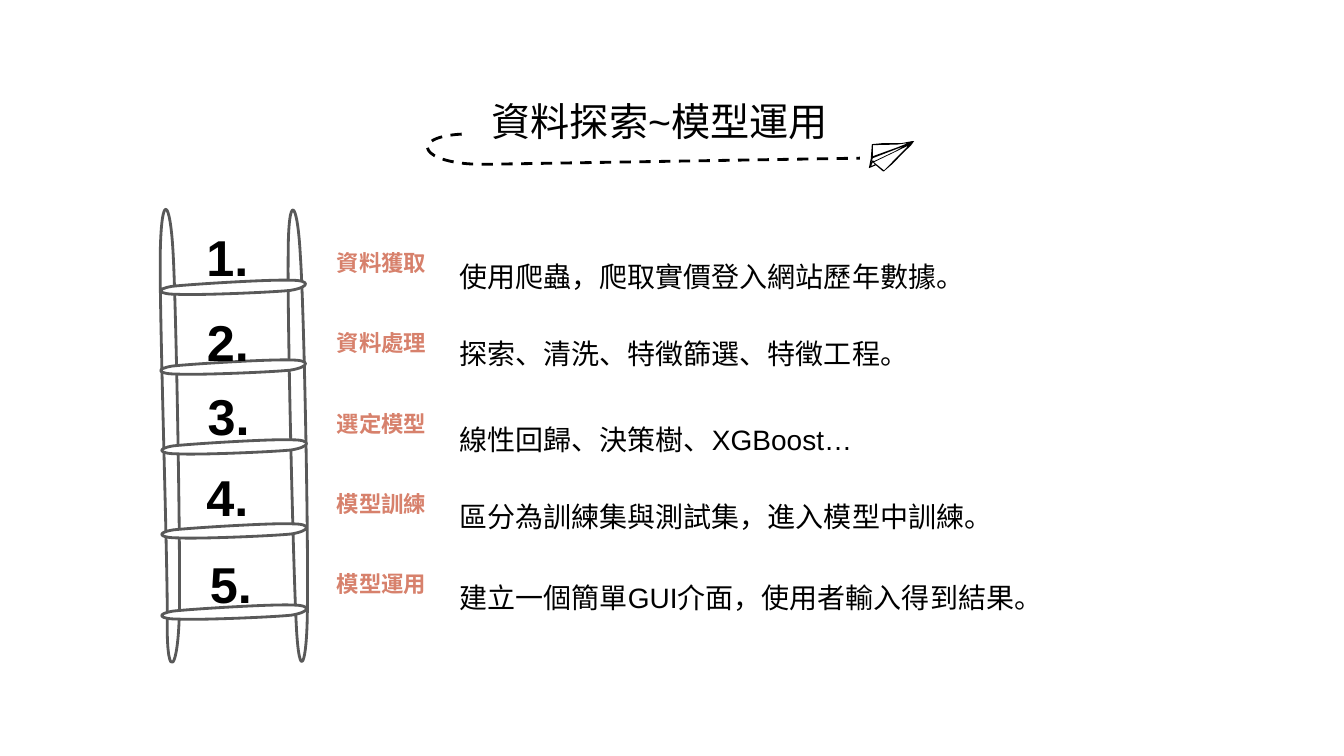
import pptx
import pptx.util
import pptx.dml.color
import pptx.enum.dml
import pptx.enum.text
import pptx.oxml.ns
import lxml.etree

Pt = pptx.util.Pt
qn = pptx.oxml.ns.qn
ALIGN = pptx.enum.text.PP_ALIGN

RAILS = [
    [(114.5, 181.4), (113.8, 225.4), (120.2, 410.4), (119.5, 448.6),
     (119.5, 486), (127.4, 480.2), (128.2, 435.6),
     (128.9, 391.7), (126, 225.4), (123.8, 182.9),
     (121.7, 140.4), (115.2, 136.8), (114.5, 181.4)],
    [(205.9, 181.4), (205.2, 225.4), (209.5, 405.4), (211.7, 447.1),
     (213.8, 488.9), (219.6, 475.9), (219.6, 432),
     (220.3, 388.1), (217.4, 224.6), (214.6, 182.9),
     (212.4, 141.1), (205.9, 137.5), (205.9, 181.4)],
]
RUNG = [(208.1, 200.2), (194.4, 199.4), (136.8, 203), (123.1, 204.5),
        (110.2, 206.6), (113, 210.2), (126.7, 210.2),
        (141.1, 211), (194.4, 208.8), (207.4, 207.4),
        (221, 205.2), (222.5, 200.2), (208.1, 200.2)]
# One arc, then a straight end
TRAIL = [(329.8, 95.8), (290.9, 97.9), (300.2, 117.4), (344.9, 117.4),
         (614.2, 113)]
# Outline of the paper plane, then its four folds
PLANE = [
    [(653, 100.8), (650.9, 103.7), (645.8, 108.7), (637.2, 117.4),
     (631.4, 122.4), (630.7, 122.4), (625.7, 118.1), (620.6, 120.2),
     (622.1, 113), (622.1, 112.3), (622.8, 103), (631.4, 102.2),
     (644.4, 102.2), (651.6, 100.8)],
    [(623.5, 103.7), (623.5, 111.6), (641.5, 105.1), (648.7, 102.2),
     (640.8, 103.3)],
    [(624.2, 115.9), (631.4, 121.7), (648, 105.1), (648, 104.4)],
    [(623.5, 113), (622.1, 116.6), (623.5, 114.5), (624.2, 115.2),
     (639.4, 108), (645.8, 104.4)],
    [(622.1, 118.8), (625, 117.4), (623.5, 115.9)],
]
# Label, detail, detail top, number box (left, top, width), rung shift
STEPS = [
    ("資料獲取", "使用爬蟲，爬取實價登入網站歷年數據。", 182,
     (126.7, 157.7, 71.3), (0, 0)),
    ("資料處理", "探索、清洗、特徵篩選、特徵工程。", 236.9,
     (126.7, 218.9, 72), (0, 57)),
    ("選定模型", "線性回歸、決策樹、XGBoost…", 298.1,
     (127.4, 271.4, 72), (0.7, 114)),
    ("模型訓練", "區分為訓練集與測試集，進入模型中訓練。", 353.1,
     (140.4, 329.3, 47.5), (0.7, 174)),
    ("模型運用", "建立一個簡單GUI介面，使用者輸入得到結果。", 411.1,
     (142.9, 391.7, 47.5), (0.7, 232)),
]


def color(code):
    return pptx.dml.color.RGBColor.from_string(code)


def trace(points, count=12):
    """List points along the arcs, to find how far they reach."""
    line = [points[0]]
    for i in range(0, len(points) - 1, 3):
        arc = points[i:i + 4]
        if len(arc) < 4:
            line += arc[1:]
            continue
        for k in range(1, count + 1):
            t = k / count
            u = 1 - t
            parts = (u ** 3, 3 * u * u * t, 3 * u * t * t, t ** 3)
            line.append(tuple(sum(w * p[axis] for w, p in zip(parts, arc))
                              for axis in (0, 1)))
    return line


class Deck:
    font = "Arial"
    ink = "000000"
    accent = "D7816C"
    gray = "595959"
    paper = "FFFFFF"

    def __init__(self, slide):
        self.slide = slide

    def fill_text(self, shape, text, box, size, hue, bold, align):
        shape.left, shape.top, shape.width, shape.height = map(Pt, box)
        frame = shape.text_frame
        frame.text = text
        frame.word_wrap = True
        frame.auto_size = pptx.enum.text.MSO_AUTO_SIZE.SHAPE_TO_FIT_TEXT
        frame.vertical_anchor = pptx.enum.text.MSO_ANCHOR.TOP
        para = frame.paragraphs[0]
        para.alignment = align
        para.font.name = self.font
        para.font.size = Pt(size)
        para.font.bold = bold
        para.font.color.rgb = color(hue)

    def title(self, text, box, size):
        self.fill_text(self.slide.shapes.title, text, box, size,
                       self.ink, False, ALIGN.LEFT)

    def text(self, text, box, size, hue=ink, bold=False, align=ALIGN.LEFT):
        shape = self.slide.shapes.add_textbox(*map(Pt, box))
        self.fill_text(shape, text, box, size, hue, bold, align)

    def outline(self, loops, fill=None, line=None, close=True):
        """Draw one freeform from lists of points."""
        loops = [[(Pt(x), Pt(y)) for x, y in loop] for loop in loops]
        pen = self.slide.shapes.build_freeform(*loops[0][0])
        for i, loop in enumerate(loops):
            if i:
                pen.move_to(*loop[0])
            pen.add_line_segments(loop[1:], close=close)
        shape = pen.convert_to_shape()
        shape.shadow.inherit = False
        if fill:
            shape.fill.solid()
            shape.fill.fore_color.rgb = color(fill)
        else:
            shape.fill.background()
        if line:
            shape.line.color.rgb = color(line)
            shape.line.width = Pt(2)
        else:
            shape.line.fill.background()
        return shape

    def bend(self, points, fill=None, line=None):
        """Draw a chain of Bezier arcs; a single last point is a line."""
        shape = self.outline([trace(points)], fill, line, close=False)
        track = next(shape.element.iter(qn("a:path")))
        for node in list(track):
            track.remove(node)
        parts = [("a:moveTo", points[:1])]
        for i in range(1, len(points), 3):
            arc = points[i:i + 3]
            parts.append(("a:cubicBezTo" if len(arc) == 3 else "a:lnTo", arc))
        for tag, arc in parts:
            node = lxml.etree.SubElement(track, qn(tag))
            for x, y in arc:
                lxml.etree.SubElement(node, qn("a:pt"),
                                      x=str(Pt(x) - shape.left),
                                      y=str(Pt(y) - shape.top))
        return shape


def main():
    show = pptx.Presentation()
    show.slide_width, show.slide_height = Pt(960), Pt(540)
    deck = Deck(show.slides.add_slide(show.slide_layouts[5]))
    deck.title("資料探索~模型運用", (344, 66.2, 284.4, 41), 28)

    for rail in RAILS:
        deck.bend(rail, deck.paper, deck.gray)
    for i, (label, detail, top, spot, (dx, dy)) in enumerate(STEPS):
        deck.bend([(x + dx, y + dy) for x, y in RUNG], deck.paper, deck.gray)
        align = ALIGN.CENTER if i < 3 else ALIGN.LEFT
        deck.text(f"{i + 1}.", (*spot, 51), 36, bold=True, align=align)
        deck.text(label, (232.2, 174.4 + 57.4 * i, 80.6, 26.6), 16,
                  deck.accent, True, ALIGN.CENTER)
        deck.text(detail, (321.1, top, 515.5, 31.7), 20)

    deck.outline(PLANE, fill=deck.ink)
    trail = deck.bend(TRAIL, line=deck.ink)
    trail.line.dash_style = pptx.enum.dml.MSO_LINE.DASH
    show.save("out.pptx")


if __name__ == "__main__":
    main()
